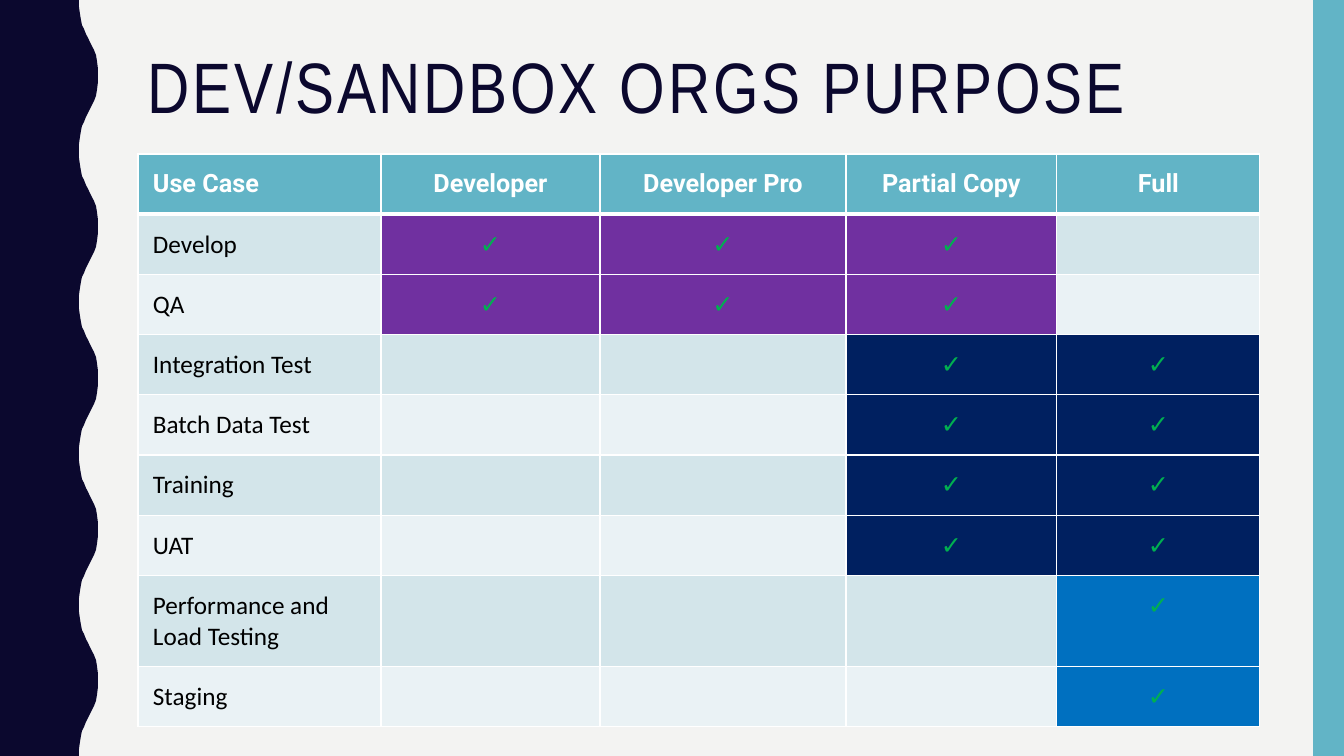
from lxml import etree
from pptx import Presentation
from pptx.dml.color import RGBColor
from pptx.enum.shapes import MSO_SHAPE
from pptx.enum.text import MSO_ANCHOR, PP_ALIGN
from pptx.oxml.ns import qn
from pptx.util import Pt

NAVY = RGBColor(0x0B, 0x08, 0x2E)
TEAL = RGBColor(0x62, 0xB4, 0xC6)
PAPER = RGBColor(0xF3, 0xF3, 0xF2)
WHITE = RGBColor(0xFF, 0xFF, 0xFF)
BLACK = RGBColor(0x00, 0x00, 0x00)
GREEN = RGBColor(0x00, 0xB0, 0x50)
PURPLE = RGBColor(0x70, 0x30, 0xA0)
DARK_BLUE = RGBColor(0x00, 0x20, 0x60)
BLUE = RGBColor(0x00, 0x70, 0xC0)
BANDS = (RGBColor(0xD3, 0xE5, 0xEA), RGBColor(0xEA, 0xF2, 0xF5))

LEFT, CENTER = PP_ALIGN.LEFT, PP_ALIGN.CENTER
TOP, MIDDLE = MSO_ANCHOR.TOP, MSO_ANCHOR.MIDDLE
RECTANGLE = MSO_SHAPE.RECTANGLE

TITLE = "DEV/SANDBOX ORGS PURPOSE"
HEADERS = ["Use Case", "Developer", "Developer Pro", "Partial Copy", "Full"]
# use case, first and last ticked column, colour of the ticked cells
USE_CASES = [
    ("Develop", 1, 3, PURPLE),
    ("QA", 1, 3, PURPLE),
    ("Integration Test", 3, 4, DARK_BLUE),
    ("Batch Data Test", 3, 4, DARK_BLUE),
    ("Training", 3, 4, DARK_BLUE),
    ("UAT", 3, 4, DARK_BLUE),
    ("Performance and Load Testing", 4, 4, BLUE),
    ("Staging", 4, 4, BLUE),
]
TICK = "✓"

SLIDE_WIDTH, SLIDE_HEIGHT = 1344, 756
COLUMN_WIDTHS = [243, 219, 246, 211, 203]
ROW_HEIGHTS = [60] * 7 + [91, 60]
TABLE_LEFT, TABLE_TOP = 138, 154
CELL_INSET = 15
WAVES = 5
HALF_WAVE = [
    (79, 0), (79, 7), (80, 14), (81, 20), (82, 25), (84, 29), (86, 34), (88, 38),
    (90, 42), (92, 46), (94, 50), (96, 55), (97, 61), (98, 69), (98, 76),
]
EMU_PER_PX = 914400 / 100.8


def px(length):
    return round(length * EMU_PER_PX)


def paint(shape, color):
    shape.shadow.inherit = False
    shape.fill.solid()
    shape.fill.fore_color.rgb = color
    shape.line.fill.background()


def add_wavy_edge(slide):
    period = SLIDE_HEIGHT / WAVES
    wave = HALF_WAVE + [(x, period - y) for x, y in HALF_WAVE[-2::-1]]
    points = [(x, round(number * period + y)) for number in range(WAVES) for x, y in wave]
    builder = slide.shapes.build_freeform(0, 0, scale=EMU_PER_PX)
    builder.add_line_segments(points + [(0, SLIDE_HEIGHT)], close=True)
    paint(builder.convert_to_shape(), NAVY)


def add_text(para, text, font_name, size, color, bold=False):
    run = para.add_run()
    run.text = text
    font = run.font
    font.name, font.size, font.bold = font_name, Pt(size), bold
    font.color.rgb = color
    return run


def add_title(slide):
    box = slide.shapes.add_textbox(px(TABLE_LEFT), px(42), px(sum(COLUMN_WIDTHS)), px(96))
    frame = box.text_frame
    frame.word_wrap = True
    frame.vertical_anchor = MIDDLE
    para = frame.paragraphs[0]
    para.line_spacing = 0.9
    run = add_text(para, TITLE, "Arial Narrow", 51, NAVY)
    run.font._element.set("spc", "200")


def set_borders(cell, top, bottom):
    """Draw white cell borders; top and bottom are widths in points."""
    properties = cell._tc.get_or_add_tcPr()
    for side, width in (("L", 1), ("R", 1), ("T", top), ("B", bottom)):
        line = etree.SubElement(properties, qn(f"a:ln{side}"), w=str(Pt(width)))
        fill = etree.SubElement(line, qn("a:solidFill"))
        etree.SubElement(fill, qn("a:srgbClr"), val=str(WHITE))


def fill_cell(cell, row, column):
    set_borders(cell, top=3 if row == 1 else 1, bottom=3 if row == 0 else 1)
    cell.margin_left = cell.margin_right = px(CELL_INSET)
    cell.margin_top = cell.margin_bottom = px(CELL_INSET)
    cell.vertical_anchor = MIDDLE if row == 0 else TOP
    para = cell.text_frame.paragraphs[0]
    para.alignment = CENTER if column else LEFT
    if row == 0:
        background = TEAL
        add_text(para, HEADERS[column], "Roboto", 18, WHITE, bold=True)
    else:
        use_case, first, last, tick_fill = USE_CASES[row - 1]
        background = BANDS[(row - 1) % 2]
        if column == 0:
            add_text(para, use_case, "Calibri", 18, BLACK)
        elif first <= column <= last:
            background = tick_fill
            add_text(para, TICK, "Calibri", 18, GREEN)
    cell.fill.solid()
    cell.fill.fore_color.rgb = background


def add_purpose_table(slide):
    table = slide.shapes.add_table(
        len(ROW_HEIGHTS), len(COLUMN_WIDTHS), px(TABLE_LEFT), px(TABLE_TOP),
        px(sum(COLUMN_WIDTHS)), px(sum(ROW_HEIGHTS))).table
    for column, width in zip(table.columns, COLUMN_WIDTHS):
        column.width = px(width)
    for row, height in zip(table.rows, ROW_HEIGHTS):
        row.height = px(height)
    for row in range(len(ROW_HEIGHTS)):
        for column in range(len(COLUMN_WIDTHS)):
            fill_cell(table.cell(row, column), row, column)


def main():
    deck = Presentation()
    deck.slide_width, deck.slide_height = px(SLIDE_WIDTH), px(SLIDE_HEIGHT)
    slide = deck.slides.add_slide(deck.slide_layouts[6])
    slide.background.fill.solid()
    slide.background.fill.fore_color.rgb = PAPER
    add_wavy_edge(slide)
    stripe = slide.shapes.add_shape(RECTANGLE, px(1313), 0, px(31), px(SLIDE_HEIGHT))
    paint(stripe, TEAL)
    add_title(slide)
    add_purpose_table(slide)
    deck.save("out.pptx")


if __name__ == "__main__":
    main()
